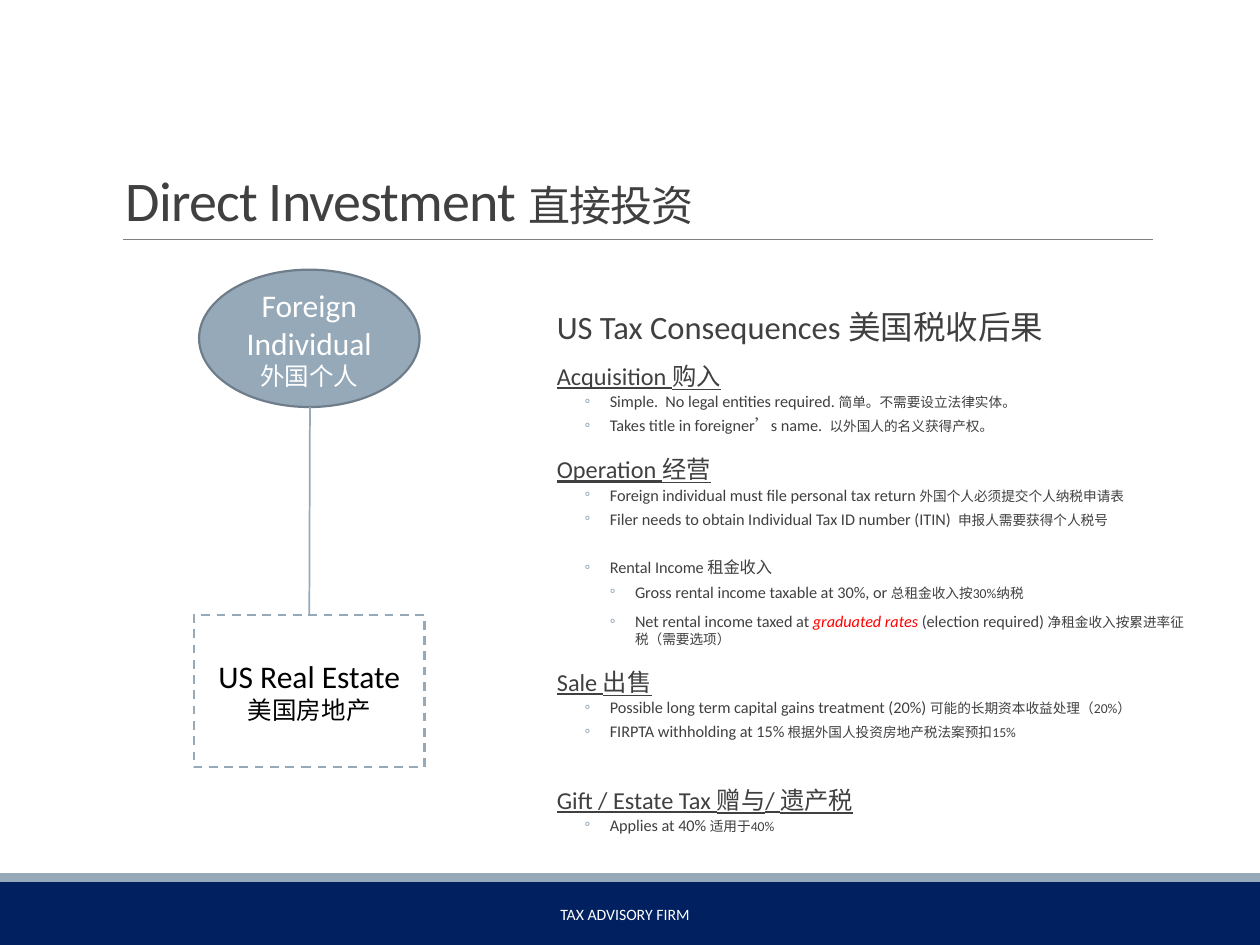
from lxml import etree
from pptx import Presentation
from pptx.dml.color import RGBColor
from pptx.enum.dml import MSO_LINE
from pptx.enum.shapes import MSO_CONNECTOR, MSO_SHAPE
from pptx.enum.text import MSO_ANCHOR, PP_ALIGN
from pptx.oxml.ns import qn
from pptx.util import Inches, Pt

NAVY, STEEL, EDGE, GRAY = "002060", "95A9B9", "6E7D89", "808080"
DARK, WHITE, BLACK, RED = "404040", "FFFFFF", "000000", "FF0000"


def rgb(code):
    return RGBColor.from_string(code)


def add_run(para, text, size, color, **style):
    run = para.add_run()
    run.text = text
    font = run.font
    font.name, font.size = "Calibri", Pt(size)
    font.color.rgb = rgb(color)
    for key, value in style.items():
        setattr(font, key, value)
    return run


deck = Presentation()
deck.slide_width, deck.slide_height = Inches(10), Inches(7.5)
slide = deck.slides.add_slide(deck.slide_layouts[6])
shapes = slide.shapes

# Footer bands
for top, high, color in [(7, 0.5, NAVY), (6.93, 0.07, STEEL)]:
    band = shapes.add_shape(MSO_SHAPE.RECTANGLE, 0, Inches(top), Inches(10), Inches(high))
    band.shadow.inherit = False
    band.fill.solid()
    band.fill.fore_color.rgb = rgb(color)
    band.line.fill.background()

# Title, footer and body boxes
frames = {}
for name, left, top, wide, high, anchor in [
    ("title", 0.9, 0.31, 8.25, 1.59, MSO_ANCHOR.BOTTOM),
    ("footer", 2.98, 7.06, 3.96, 0.4, MSO_ANCHOR.MIDDLE),
    ("body", 4.42, 2.47, 5, 4.23, MSO_ANCHOR.TOP),
]:
    box = shapes.add_textbox(Inches(left), Inches(top), Inches(wide), Inches(high))
    frame = frames[name] = box.text_frame
    frame.word_wrap = True
    frame.vertical_anchor = anchor

para = frames["title"].paragraphs[0]
para.line_spacing = 0.85
for text, size in [("Direct Investment ", 32), ("直接投资", 24)]:
    run = add_run(para, text, size, DARK)
    run.font._element.set("spc", "-50")

para = frames["footer"].paragraphs[0]
para.alignment = PP_ALIGN.CENTER
add_run(para, "TAX ADVISORY FIRM", 9, WHITE)

# Tax consequences: level, space before, English and Chinese parts
HEAD, TOPIC, ITEM, SUB = range(4)
lines = [
    (HEAD, 0, ["US Tax Consequences 美国税收后果"]),
    (TOPIC, 12, ["Acquisition 购入"]),
    (ITEM, 2, ["Simple.  No legal entities required. ", "简单。不需要设立法律实体。"]),
    (ITEM, 2, ["Takes title in foreigner’s name.  ", "以外国人的名义获得产权。"]),
    (TOPIC, 12, ["Operation 经营"]),
    (ITEM, 2, ["Foreign individual must file personal tax return ",
               "外国个人必须提交个人纳税申请表"]),
    (ITEM, 2, ["Filer needs to obtain Individual Tax ID number (ITIN)  ",
               "申报人需要获得个人税号"]),
    (ITEM, 16, ["Rental Income 租金收入"]),
    (SUB, 2, ["Gross rental income taxable at 30%, or ", "总租金收入按30%纳税"]),
    (SUB, 2, ["Net rental income taxed at |graduated rates |(election required) ",
              "净租金收入按累进率征税（需要选项）"]),
    (TOPIC, 12, ["Sale 出售"]),
    (ITEM, 2, ["Possible long term capital gains treatment (20%) ",
               "可能的长期资本收益处理（20%）"]),
    (ITEM, 2, ["FIRPTA withholding at 15%", " 根据外国人投资房地产税法案预扣15%"]),
    (TOPIC, 26, ["Gift / Estate Tax 赠与/ 遗产税"]),
    (ITEM, 2, ["Applies at 40% ", "适用于40%"]),
]
formats = {
    HEAD: {"size": 18.6, "after": 2, "indent": 0},
    TOPIC: {"size": 13.9, "after": 2, "indent": 0},
    ITEM: {"size": 9.3, "after": 4, "indent": 0.42},
    SUB: {"size": 9.3, "after": 4, "indent": 0.62},
}
body = frames["body"]
body.margin_left = body.margin_right = 0
for i, (level, before, parts) in enumerate(lines):
    form = formats[level]
    para = body.add_paragraph() if i else body.paragraphs[0]
    props = para._p.get_or_add_pPr()
    if form["indent"]:
        props.set("marL", str(Inches(form["indent"])))
        props.set("indent", str(Inches(-0.2)))
        tint = etree.SubElement(props, qn("a:buClr"))
        etree.SubElement(tint, qn("a:srgbClr")).set("val", STEEL)
        etree.SubElement(props, qn("a:buFont")).set("typeface", "Calibri")
        etree.SubElement(props, qn("a:buChar")).set("char", "◦")
    para.level = max(level - 1, 0)
    para.line_spacing = 1.0 if "|" in parts[0] else 0.7
    para.space_before, para.space_after = Pt(before), Pt(form["after"])
    for j, text in enumerate(parts[0].split("|")):
        marked = j == 1
        add_run(para, text, form["size"], RED if marked else DARK,
                italic=marked, underline=level == TOPIC)
    for text in parts[1:]:
        add_run(para, text, 7.8, DARK)

# Owner and property
nodes = []
for kind, left, top, wide, high, fill, edge, ink, texts in [
    (MSO_SHAPE.OVAL, 1.58, 2.14, 1.75, 1.09, STEEL, EDGE, WHITE,
     ["Foreign Individual", "外国个人"]),
    (MSO_SHAPE.RECTANGLE, 1.54, 4.88, 1.83, 1.21, WHITE, STEEL, BLACK,
     ["US Real Estate", "美国房地产"]),
]:
    node = shapes.add_shape(kind, Inches(left), Inches(top), Inches(wide), Inches(high))
    node.shadow.inherit = False
    node.fill.solid()
    node.fill.fore_color.rgb = rgb(fill)
    node.line.color.rgb = rgb(edge)
    node.line.width = Pt(1.25)
    frame = node.text_frame
    frame.word_wrap = True
    frame.vertical_anchor = MSO_ANCHOR.MIDDLE
    for i, (text, size) in enumerate(zip(texts, [18, 14])):
        para = frame.add_paragraph() if i else frame.paragraphs[0]
        para.alignment = PP_ALIGN.CENTER
        add_run(para, text, size, ink)
    nodes.append(node)
owner, estate = nodes
estate.line.dash_style = MSO_LINE.DASH

# Title rule and ownership line
for x1, y1, x2, y2, color, width, goal in [
    (0.98, 1.9, 9.15, 1.9, GRAY, 0.5, None),
    (2.46, 3.23, 2.46, 4.88, STEEL, 1, estate),
]:
    line = shapes.add_connector(MSO_CONNECTOR.STRAIGHT, Inches(x1), Inches(y1),
                                Inches(x2), Inches(y2))
    line.line.color.rgb = rgb(color)
    line.line.width = Pt(width)
    etree.SubElement(line._element.spPr, qn("a:effectLst"))
    if goal is not None:
        line.end_connect(goal, 0)

deck.save("out.pptx")
